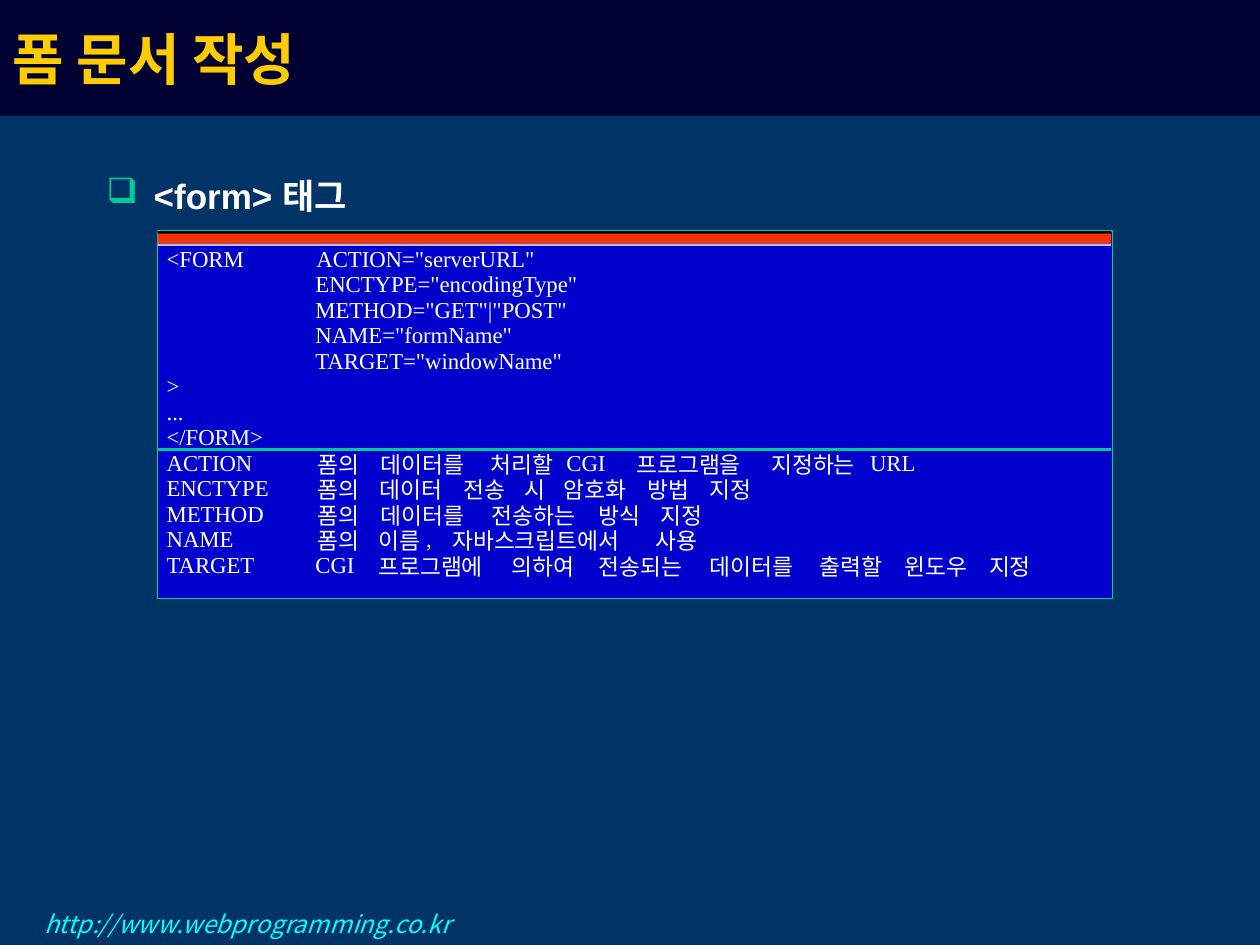
from dataclasses import dataclass
from lxml.etree import SubElement
from pptx import Presentation
from pptx.dml.color import RGBColor
from pptx.enum.shapes import MSO_CONNECTOR, MSO_SHAPE
from pptx.enum.text import MSO_ANCHOR, MSO_AUTO_SIZE, PP_ALIGN
from pptx.oxml.ns import qn
from pptx.util import Cm, Pt


@dataclass(frozen=True)
class Theme:
    background: str = "003366"
    title_band: str = "000032"
    title_text: str = "FFCC00"
    text: str = "FFFFFF"
    link: str = "00FFFF"
    accent: str = "00CC99"
    panel: str = "0000CC"
    stripe: str = "FF3300"
    edge: str = "000000"
    groove: str = "C0C0C0"
    korean: str = "Noto Sans CJK KR"
    serif: str = "Times New Roman"
    sans: str = "Arial"
    title_size: int = 32
    heading_size: int = 20
    link_size: int = 14
    code_size: int = 13


@dataclass(frozen=True)
class Box:
    """A rectangle in centimetres."""
    left: float
    top: float
    width: float
    height: float

    def inner(self, left, top, width, height):
        return Box(self.left + left, self.top + top, width, height)

    def lengths(self):
        return [Cm(value) for value in (self.left, self.top, self.width, self.height)]


THEME = Theme()

# Each row of the panel: words with their distance from the panel's left edge.
CODE_ROWS = [
    [(0.18, "<FORM"), (3.2, 'ACTION="serverURL"')],
    [(3.18, 'ENCTYPE="encodingType"')],
    [(3.18, 'METHOD="GET"|"POST"')],
    [(3.18, 'NAME="formName"')],
    [(3.18, 'TARGET="windowName"')],
    [(0.18, ">")],
    [(0.18, "...")],
    [(0.18, "</FORM>")],
]
ATTRIBUTE_ROWS = [
    [(0.18, "ACTION"), (3.23, "폼의"), (4.5, "데이터를"), (6.71, "처리할"), (8.24, "CGI"),
     (9.65, "프로그램을"), (12.37, "지정하는"), (14.36, "URL")],
    [(0.18, "ENCTYPE"), (3.23, "폼의"), (4.47, "데이터"), (6.17, "전송"), (7.39, "시"),
     (8.18, "암호화"), (9.88, "방법"), (11.13, "지정")],
    [(0.18, "METHOD"), (3.23, "폼의"), (4.5, "데이터를"), (6.73, "전송하는"),
     (8.89, "방식"), (10.13, "지정")],
    [(0.18, "NAME"), (3.23, "폼의"), (4.45, "이름"), (5.41, ","),
     (5.94, "자바스크립트에서"), (10.03, "사용")],
    [(0.18, "TARGET"), (3.18, "CGI"), (4.45, "프로그램에"), (7.14, "의하여"), (8.89, "전송되는"),
     (11.13, "데이터를"), (13.34, "출력할"), (15.06, "윈도우"), (16.76, "지정")],
]
ROW_PITCH = 6.17 / 12


def write(frame, text, color, margins=(0.25, 0.13), anchor=MSO_ANCHOR.TOP, **font_format):
    across, down = margins
    frame_format = {
        "word_wrap": True, "auto_size": MSO_AUTO_SIZE.NONE, "vertical_anchor": anchor,
        "margin_left": Cm(across), "margin_right": Cm(across),
        "margin_top": Cm(down), "margin_bottom": Cm(down),
    }
    for name, value in frame_format.items():
        setattr(frame, name, value)
    para = frame.paragraphs[0]
    para.alignment = PP_ALIGN.LEFT
    span = para.add_run()
    span.text = text
    for name, value in font_format.items():
        setattr(span.font, name, value)
    span.font.color.rgb = RGBColor.from_string(color)
    east_asian = SubElement(span.font._element, qn("a:ea"))
    east_asian.set("typeface", THEME.korean)
    return para


def add_text(page, box, text, color, **options):
    shape = page.shapes.add_textbox(*box.lengths())
    return write(shape.text_frame, text, color, **options)


def add_bar(page, box, fill, line=None):
    bar = page.shapes.add_shape(MSO_SHAPE.RECTANGLE, *box.lengths())
    bar.shadow.inherit = False
    bar.fill.solid()
    bar.fill.fore_color.rgb = RGBColor.from_string(fill)
    if line:
        bar.line.color.rgb = RGBColor.from_string(line)
        bar.line.width = Pt(0.75)
    else:
        bar.line.fill.background()


def add_divider(page, left, top, width):
    divider = page.shapes.add_connector(
        MSO_CONNECTOR.STRAIGHT, Cm(left), Cm(top), Cm(left + width), Cm(top))
    divider.line.color.rgb = RGBColor.from_string(THEME.accent)
    divider.line.width = Pt(1.25)
    SubElement(divider._element.spPr, qn("a:effectLst"))


def place_title(page, box, text):
    title = page.shapes.title
    for name, value in zip(("left", "top", "width", "height"), box.lengths()):
        setattr(title, name, value)
    title.fill.solid()
    title.fill.fore_color.rgb = RGBColor.from_string(THEME.title_band)
    write(title.text_frame, text, THEME.title_text, anchor=MSO_ANCHOR.MIDDLE,
          name=THEME.korean, size=Pt(THEME.title_size), bold=True)


def place_heading(page, box, text):
    para = add_text(page, box, text, THEME.text, name=THEME.sans,
                    size=Pt(THEME.heading_size), bold=True)
    properties = para._p.get_or_add_pPr()
    properties.set("marL", str(Cm(0.95)))
    properties.set("indent", str(-Cm(0.95)))
    bullet_color = SubElement(properties, qn("a:buClr"))
    SubElement(bullet_color, qn("a:srgbClr")).set("val", THEME.accent)
    SubElement(properties, qn("a:buChar")).set("char", "❑")


def place_row(page, box, words):
    for offset, word in words:
        latin = word.isascii()
        width = 0.05 + sum(
            0.33 if letter.isupper() else 0.23 if latin else 0.42 for letter in word)
        drop = 0 if latin else 0.04
        add_text(page, box.inner(offset, drop, width, box.height), word, THEME.text,
                 margins=(0, 0), size=Pt(THEME.code_size),
                 name=THEME.serif if latin else THEME.korean)


def place_syntax_panel(page, box):
    add_bar(page, box, THEME.panel, THEME.accent)
    stripes = [(0, 0.05, THEME.edge), (0.05, 0.2, THEME.stripe), (0.25, 0.05, THEME.groove)]
    for top, height, color in stripes:
        add_bar(page, box.inner(0, top, box.width - 0.03, height), color)
    for index, words in enumerate(CODE_ROWS + ATTRIBUTE_ROWS):
        row = box.inner(0, 0.27 + index * ROW_PITCH, box.width, 0.56)
        place_row(page, row, words)
    add_divider(page, box.left, box.top + 4.4, box.width - 0.03)


def place_footer(page, box, text):
    add_text(page, box, text, THEME.link, name=THEME.korean,
             size=Pt(THEME.link_size), italic=True)


def main():
    deck = Presentation()
    deck.slide_width, deck.slide_height = Cm(25.4), Cm(19.05)
    page = deck.slides.add_slide(deck.slide_layouts.get_by_name("Title Only"))
    page.background.fill.solid()
    page.background.fill.fore_color.rgb = RGBColor.from_string(THEME.background)
    place_title(page, Box(0, 0, 25.4, 2.33), "폼 문서 작성")
    place_heading(page, Box(1.9, 3.39, 21.59, 13.55), "<form> 태그")
    place_syntax_panel(page, Box(3.18, 4.66, 19.25, 7.41))
    place_footer(page, Box(0.64, 18.2, 9.95, 0.85), "http://www.webprogramming.co.kr")
    deck.save("out.pptx")


if __name__ == "__main__":
    main()
